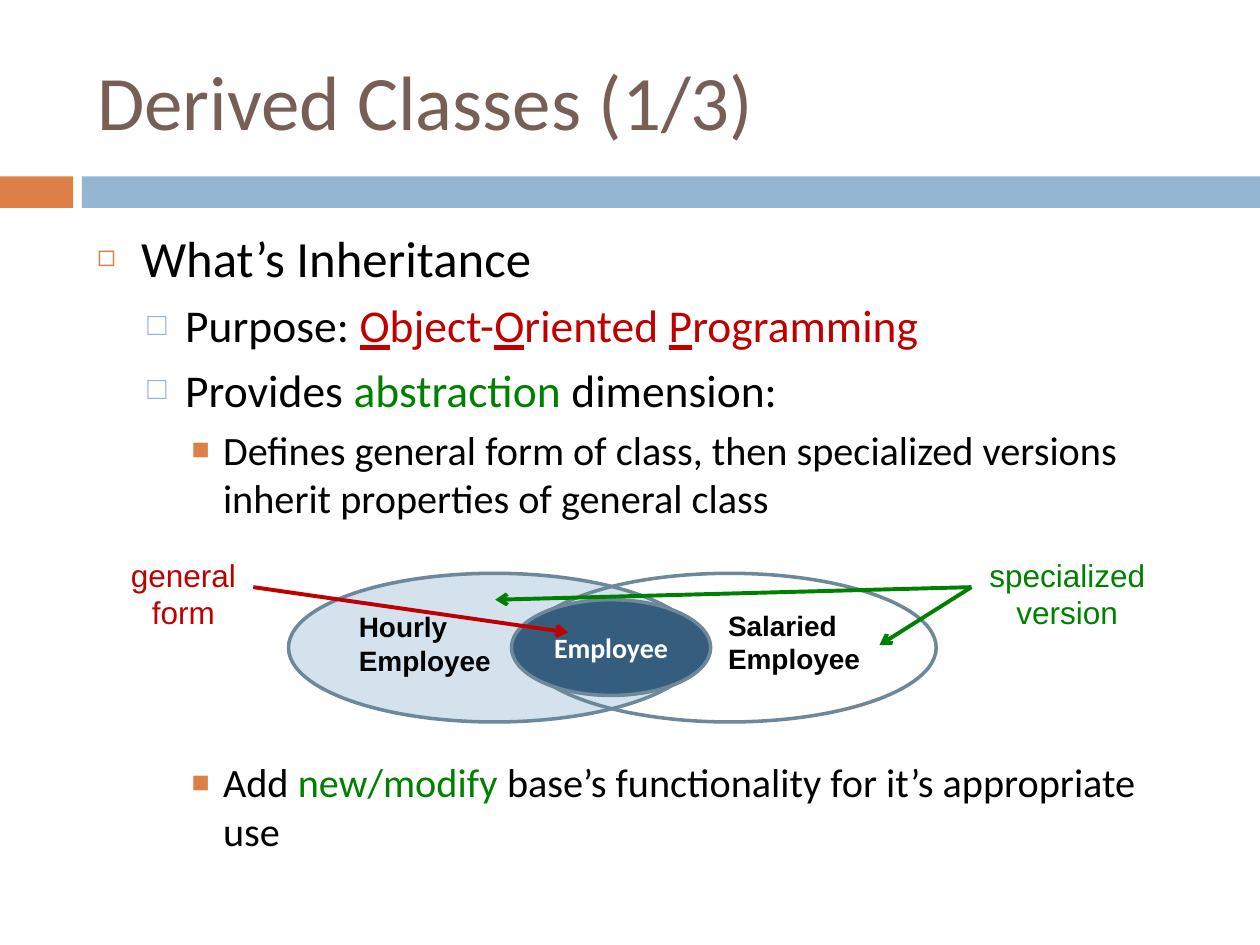
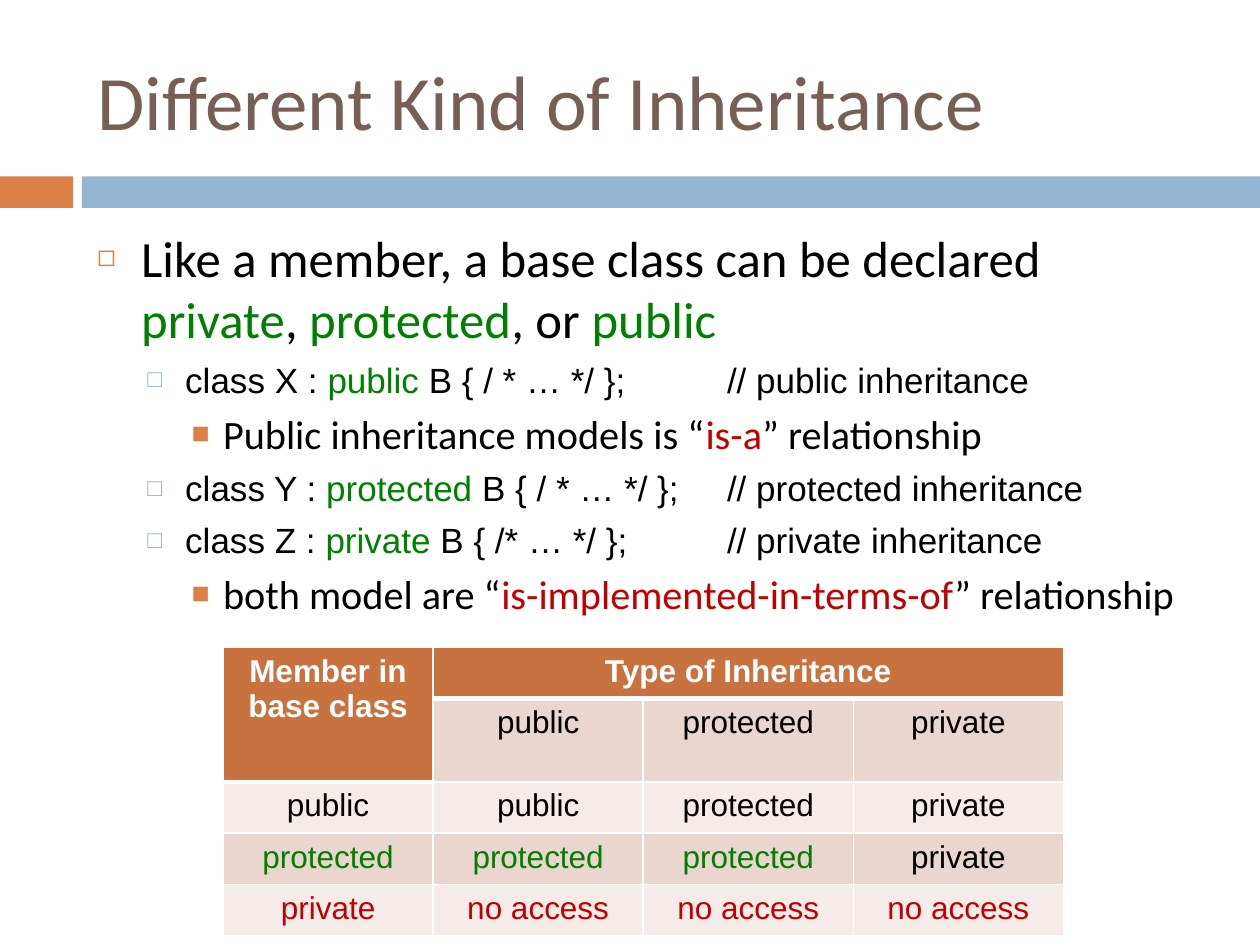
"""Build two slides about C++ inheritance with a shared banded style."""
from lxml import etree
from pptx import Presentation
from pptx import util as u
from pptx.dml import color
from pptx.enum import shapes, text
from pptx.oxml import ns

BLACK, WHITE, RED, GREEN = "000000", "FFFFFF", "C00000", "008000"
ORANGE, BLUE, BROWN, OUTLINE = "DD8047", "94B6D2", "775F55", "6D879B"
HEADER, BAND_DARK, BAND_LIGHT = "C8733F", "EBD5CF", "F5EBE8"
HEADING_FONT, LABEL_FONT = "Calibri", "Arial"
LEVELS = [
    dict(left=0.35, hanging=0.35, before=7, mark="◻", colour=ORANGE, percent=60, size=29),
    dict(left=0.7, hanging=0.3, before=5.5, mark="□", colour=BLUE, percent=70, size=26),
    dict(left=1, hanging=0.25, before=5, mark="■", colour=ORANGE, percent=75, size=23),
]


def rgb(value):
    return color.RGBColor.from_string(value)


def box(left, top, width, height):
    return [u.Inches(length) for length in (left, top, width, height)]


def add_xml(parent, tag, **attributes):
    return etree.SubElement(parent, ns.qn(tag), **attributes)


def write_runs(paragraph, pieces, size, font=LABEL_FONT, colour=BLACK, bold=False):
    for piece in pieces:
        content, run_colour, underline = (
            (piece, colour, False) if isinstance(piece, str) else (*piece, False)[:3])
        run = paragraph.add_run()
        run.text = content
        run.font.size, run.font.name = u.Pt(size), font
        run.font.bold, run.font.underline = bold, underline
        run.font.color.rgb = rgb(run_colour)


class Deck:
    def __init__(self):
        self.presentation = Presentation()
        self.presentation.slide_width = u.Inches(10)
        self.presentation.slide_height = u.Inches(7.5)
        self.slide = None

    def start_slide(self, title):
        layout = self.presentation.slide_layouts[1]
        self.slide = self.presentation.slides.add_slide(layout)
        self.shape("RECTANGLE", (0, 1.4, 0.58, 0.25), ORANGE)
        self.shape("RECTANGLE", (0.65, 1.4, 9.35, 0.25), BLUE)
        frame = self.place(self.slide.shapes.title, (0.67, 0.25, 8.92, 1.08))
        frame.vertical_anchor = text.MSO_ANCHOR.MIDDLE
        frame.paragraphs[0].alignment = text.PP_ALIGN.LEFT
        write_runs(frame.paragraphs[0], [title], 44, HEADING_FONT, BROWN)

    def place(self, placeholder, area):
        placeholder.left, placeholder.top, placeholder.width, placeholder.height = box(*area)
        frame = placeholder.text_frame
        frame.word_wrap = True
        frame.auto_size = text.MSO_AUTO_SIZE.NONE
        return frame

    def bullets(self, items):
        frame = self.place(self.slide.placeholders[1], (0.67, 1.75, 8.92, 4.95))
        for index, (level, pieces, changes) in enumerate(items):
            style = {**LEVELS[level], "font": HEADING_FONT, **changes}
            paragraph = frame.add_paragraph() if index else frame.paragraphs[0]
            paragraph.level = level
            paragraph.space_before = u.Pt(style["before"])
            properties = paragraph._p.get_or_add_pPr()
            properties.set("marL", str(u.Inches(style["left"])))
            properties.set("indent", str(-u.Inches(style["hanging"])))
            properties.set("defTabSz", str(u.Inches(1)))
            add_xml(add_xml(properties, "a:buClr"), "a:srgbClr", val=style["colour"])
            add_xml(properties, "a:buSzPct", val=str(style["percent"] * 1000))
            add_xml(properties, "a:buFont", typeface=LABEL_FONT)
            add_xml(properties, "a:buChar", char=style["mark"])
            write_runs(paragraph, pieces, style["size"], style["font"])

    def shape(self, kind, area, fill=None, outline=None):
        shape = self.slide.shapes.add_shape(getattr(shapes.MSO_SHAPE, kind), *box(*area))
        shape.shadow.inherit = False
        if fill:
            shape.fill.solid()
            shape.fill.fore_color.rgb = rgb(fill)
        else:
            shape.fill.background()
        if outline:
            shape.line.color.rgb = rgb(outline)
            shape.line.width = u.Pt(2)
        else:
            shape.line.fill.background()
        return shape

    def label(self, lines, area, size, colour=BLACK, bold=False, align="LEFT"):
        frame = self.slide.shapes.add_textbox(*box(*area)).text_frame
        frame.word_wrap = True
        for index, line in enumerate(lines):
            paragraph = frame.add_paragraph() if index else frame.paragraphs[0]
            paragraph.alignment = getattr(text.PP_ALIGN, align)
            write_runs(paragraph, [line], size, colour=colour, bold=bold)

    def arrow(self, start, end, colour):
        connector = self.slide.shapes.add_connector(
            shapes.MSO_CONNECTOR.STRAIGHT, *box(*start, *end))
        connector.line.color.rgb = rgb(colour)
        connector.line.width = u.Pt(2.25)
        properties = connector._element.spPr
        add_xml(properties.find(ns.qn("a:ln")), "a:tailEnd", type="arrow")
        add_xml(properties, "a:effectLst")

    def cell_borders(self, cell, bottom):
        properties = cell._tc.get_or_add_tcPr()
        widths = {"a:lnL": 1, "a:lnR": 1, "a:lnT": 1, "a:lnB": bottom}
        for index, (tag, width) in enumerate(widths.items()):
            line = etree.Element(ns.qn(tag), w=str(u.Pt(width)))
            add_xml(add_xml(line, "a:solidFill"), "a:srgbClr", val=WHITE)
            properties.insert(index, line)

    def table(self, rows, area):
        frame = self.slide.shapes.add_table(len(rows), len(rows[0]), *box(*area))
        table = frame.table
        table.first_row = table.horz_banding = False
        table.cell(0, 0).merge(table.cell(1, 0))
        table.cell(0, 1).merge(table.cell(0, 3))
        for row, entries in enumerate(rows):
            for column, entry in enumerate(entries):
                cell = table.cell(row, column)
                header = row == 0 or (row, column) == (1, 0)
                cell.fill.solid()
                band = BAND_DARK if row % 2 else BAND_LIGHT
                cell.fill.fore_color.rgb = rgb(HEADER if header else band)
                self.cell_borders(cell, 3 if header else 1)
                if entry:
                    paragraph = cell.text_frame.paragraphs[0]
                    paragraph.alignment = text.PP_ALIGN.CENTER
                    write_runs(paragraph, [entry], 18,
                               colour=WHITE if header else BLACK, bold=header)


def build_derived_classes(deck):
    deck.start_slide("Derived Classes (1/3)")
    deck.bullets([
        (0, ["What’s Inheritance"], {}),
        (1, ["Purpose: ", ("O", RED, True), ("bject-", RED), ("O", RED, True),
             ("riented ", RED), ("P", RED, True), ("rogramming", RED)], {}),
        (1, ["Provides ", ("abstraction", GREEN), " dimension:"], {}),
        (2, ["Defines general form of class, then specialized versions "
             "inherit properties of general class"], {}),
        (2, ["Add ", ("new/modify", GREEN),
             " base’s functionality for it’s appropriate use"], {"before": 135}),
    ])
    deck.shape("OVAL", (2.29, 4.55, 3.27, 1.18), "D4E2ED", OUTLINE)
    deck.shape("OVAL", (4.15, 4.55, 3.28, 1.18), None, OUTLINE)
    employee = deck.shape("OVAL", (4.06, 4.76, 1.58, 0.76), "355D7E", OUTLINE)
    frame = employee.text_frame
    frame.word_wrap = False
    frame.paragraphs[0].alignment = text.PP_ALIGN.CENTER
    write_runs(frame.paragraphs[0], ["Employee"], 16, HEADING_FONT, WHITE, True)
    deck.label(["Salaried", "Employee"], (5.68, 4.78, 1.95, 0.64), 16, bold=True)
    deck.label(["Hourly", "Employee"], (2.75, 4.79, 1.3, 0.64), 16, bold=True)
    deck.label(["specialized version"], (7.71, 4.36, 1.52, 0.71), 18, GREEN, align="CENTER")
    deck.label(["general form"], (0.69, 4.36, 1.53, 0.71), 18, RED, align="CENTER")
    deck.arrow((2.01, 4.66), (4.51, 5.02), RED)
    for target in [(6.98, 5.12), (3.93, 4.76)]:
        deck.arrow((7.71, 4.66), target, GREEN)


def build_inheritance_kinds(deck):
    deck.start_slide("Different Kind of Inheritance")
    code = {"size": 20, "font": LABEL_FONT}
    deck.bullets([
        (0, ["Like a member, a base class can be declared ", ("private", GREEN), ",",
             (" protected", GREEN), ", or", (" public", GREEN)], {}),
        (1, ["class X : ", ("public", GREEN), " B { / * … */ };\t// public inheritance"], code),
        (2, ["Public inheritance models is “", ("is-a", RED), "” relationship"], {}),
        (1, ["class Y : ", ("protected", GREEN),
             " B { / * … */ };\t// protected inheritance"], code),
        (1, ["class Z : ", ("private", GREEN), " B { /* … */ };\t// private inheritance"], code),
        (2, ["both model are “", ("is-implemented-in-terms-of", RED), "” relationship"], {}),
    ])
    kept, denied = ("protected", GREEN), ("no access", RED)
    deck.table([
        ["Member in base class", "Type of Inheritance", None, None],
        [None, "public", "protected", "private"],
        ["public", "public", "protected", "private"],
        [kept, kept, kept, "private"],
        [("private", RED), denied, denied, denied],
    ], (1.77, 5.14, 6.67, 2.03))


def main():
    deck = Deck()
    build_derived_classes(deck)
    build_inheritance_kinds(deck)
    deck.presentation.save("out.pptx")


if __name__ == "__main__":
    main()
